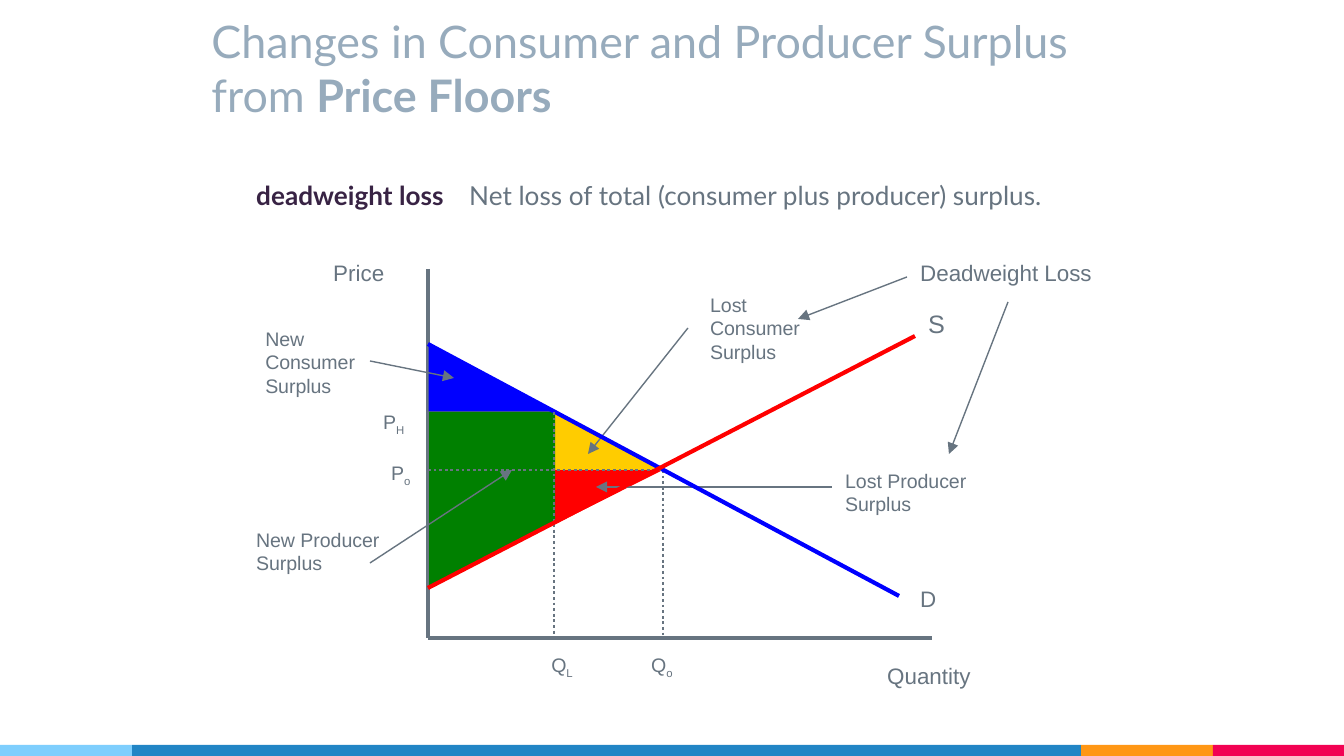
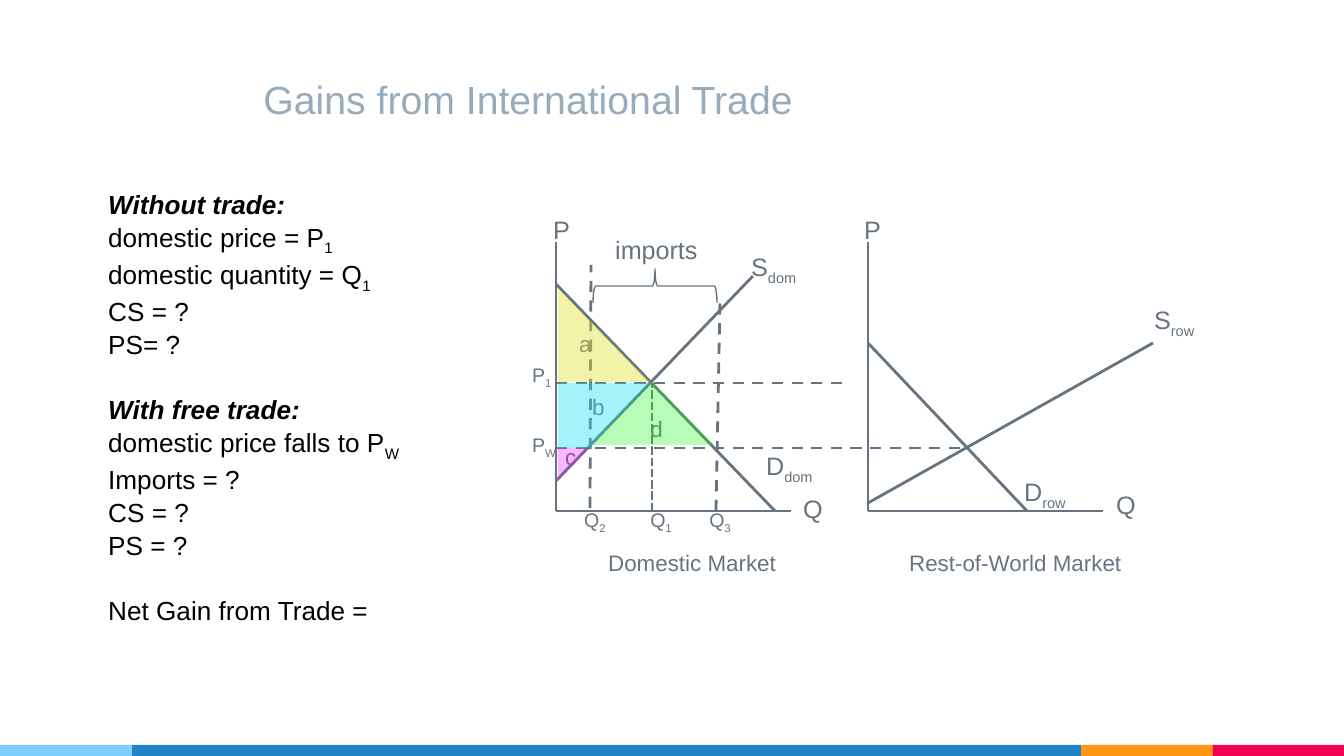
from dataclasses import dataclass
from typing import Any

from lxml.etree import SubElement
from pptx import Presentation
from pptx.dml.color import RGBColor
from pptx.enum.dml import MSO_LINE
from pptx.enum.shapes import MSO_CONNECTOR, MSO_SHAPE
from pptx.enum.text import MSO_ANCHOR, MSO_AUTO_SIZE, PP_ALIGN
from pptx.oxml.ns import qn
from pptx.util import Pt

SCALE = 914400 / 134.4
WIDE, HIGH = 1344, 756
GREY, PALE, PLUM, BLACK = "677480", "97ABBC", "382344", "000000"
BLUE, RED, GOLD, GREEN = "0000FF", "FF0000", "FFCC00", "008000"
DOT, DASH, SHORT = MSO_LINE.ROUND_DOT, MSO_LINE.DASH, MSO_LINE.SQUARE_DOT
BANDS = [(0, "7ECEFD"), (132, "2185C5"), (1081, "FF9715"), (1213, "F20253")]


def px(value):
    return round(value * SCALE)


def tint(target, value):
    target.rgb = RGBColor.from_string(value)


def say(para, text, size=12, color=GREY, font="Arial", bold=False, slant=False):
    for step, part in enumerate(text.split("_")):
        run = para.add_run()
        run.text = part
        run.font.size = Pt(size)
        run.font.name = font
        run.font.bold = bold
        run.font.italic = slant
        tint(run.font.color, color)
        if step:
            run._r.get_or_add_rPr().set("baseline", "-25000")


@dataclass
class Area:
    slide: Any
    left: int
    top: int

    def frame(self, x, y, wide, high, wrap=True):
        box = self.slide.shapes.add_textbox(
            px(self.left + x), px(self.top + y), px(wide), px(high))
        box.text_frame.word_wrap = wrap
        box.text_frame.auto_size = MSO_AUTO_SIZE.SHAPE_TO_FIT_TEXT
        return box.text_frame

    def label(self, text, x, y, wide, high=40, wrap=True, **style):
        say(self.frame(x, y, wide, high, wrap).paragraphs[0], text, **style)

    def line(self, start, end, color=GREY, width=1.5, dash=None, arrow=False):
        ends = [px(base + value) for point in (start, end)
                for base, value in zip((self.left, self.top), point)]
        link = self.slide.shapes.add_connector(MSO_CONNECTOR.STRAIGHT, *ends)
        tint(link.line.color, color)
        link.line.width = Pt(width)
        if dash:
            link.line.dash_style = dash
        props = link._element.spPr
        if arrow:
            SubElement(props.find(qn("a:ln")), qn("a:tailEnd"), type="triangle")
        SubElement(props, qn("a:effectLst"))

    def arrow(self, start, end):
        self.line(start, end, width=0.75, arrow=True)

    def patch(self, points, color, alpha=None, edge=None):
        spots = [(self.left + x, self.top + y) for x, y in points]
        pen = self.slide.shapes.build_freeform(*spots[0], scale=SCALE)
        pen.add_line_segments(spots[1:], close=True)
        self.paint(pen.convert_to_shape(), color, alpha, edge)

    def shape(self, kind, x, y, wide, high, color=None, edge=None):
        item = self.slide.shapes.add_shape(
            kind, px(self.left + x), px(self.top + y), px(wide), px(high))
        self.paint(item, color, edge=edge)
        return item

    def paint(self, item, color, alpha=None, edge=None):
        item.shadow.inherit = False
        if color:
            item.fill.solid()
            tint(item.fill.fore_color, color)
        else:
            item.fill.background()
        if alpha:
            mark = next(item._element.spPr.iter(qn("a:srgbClr")))
            SubElement(mark, qn("a:alpha"), val=str(alpha * 1000))
        if edge:
            tint(item.line.color, edge)
            item.line.width = Pt(0.75)
        else:
            item.line.fill.background()


def footer(slide, left, top, high):
    area = Area(slide, left, top)
    stops = [x for x, _ in BANDS[1:]] + [WIDE]
    for (x, color), stop in zip(BANDS, stops):
        area.shape(MSO_SHAPE.RECTANGLE, x, 0, stop - x, high, color)


def title(slide, left, top, wide, high, parts, **style):
    head = slide.shapes.title
    head.left, head.top, head.width, head.height = map(px, (left, top, wide, high))
    frame = head.text_frame
    frame.auto_size = MSO_AUTO_SIZE.NONE
    frame.word_wrap = True
    frame.vertical_anchor = MSO_ANCHOR.BOTTOM
    frame.margin_left = frame.margin_right = px(13.44)
    frame.margin_top = frame.margin_bottom = px(13.44)
    para = frame.paragraphs[0]
    para.alignment = PP_ALIGN.LEFT
    for text, bold in parts:
        say(para, text, color=PALE, bold=bold, **style)


def meaning(slide, left, top, wide, high, term, text):
    para = Area(slide, left, top).frame(0, 0, wide, high).paragraphs[0]
    stops = SubElement(para._p.get_or_add_pPr(), qn("a:tabLst"))
    SubElement(stops, qn("a:tab"), pos=str(px(213)), algn="l")
    say(para, term + "\t", size=14, color=PLUM, font="Lato", bold=True)
    say(para, text, size=14, font="Lato")


def surplus(slide, left, top, wide, high):
    area = Area(slide, left, top)
    low, even = 126, 235
    peak, held, fair, cut, base = 75, 143, 201, 254, 319
    area.patch([(0, base), (0, fair), (even, fair)], RED)
    area.patch([(0, peak), (0, fair), (even, fair)], GOLD)
    area.line((0, 0), (0, high), width=2.25)
    area.line((0, high), (wide, high), width=2.25)
    area.line((even, fair), (even, high), dash=DOT)
    area.line((low, held), (0, held), dash=DOT)
    area.patch([(0, peak), (0, held), (low, held)], BLUE, edge=GREY)
    area.patch([(1, held), (1, base), (low + 1, cut), (low + 1, held)], GREEN)

    for text, x, y, span in [
            ("Price", -108, -16, 126), ("Quantity", 446, 387, 185),
            ("D", 479, 310, 67), ("Deadweight Loss", 479, -16, 210)]:
        area.label(text, x, y, span)
    area.label("S", 487, 33, 51, 44, size=13.5)
    for text, x, y, span in [
            ("P_H", -58, 134, 51), ("P_o", -50, 185, 51),
            ("Q_L", 110, 377, 59), ("Q_o", 210, 377, 59)]:
        area.label(text, x, y, span, 38, size=10.5)
    for text, x, y, span, tall in [
            ("New Consumer Surplus", -176, 51, 159, 85),
            ("New Producer Surplus", -185, 252, 153, 61),
            ("Lost Consumer Surplus", 269, 17, 151, 85),
            ("Lost Producer Surplus", 404, 193, 218, 61)]:
        area.label(text, x, y, span, tall, size=10.5)

    for start, end in [
            ((-58, 92), (26, 109)), ((-58, 294), (84, fair)),
            ((260, 59), (160, 185)), ((404, 218), (168, 218)),
            ((479, 8), (370, 50)), ((580, 33), (521, 185))]:
        area.arrow(start, end)
    area.line((0, peak), (471, 327), BLUE, 2.25)
    area.line((0, fair), (even, fair), dash=DOT)
    area.line((low, held), (low, high), dash=DOT)
    area.line((0, base), (487, 67), RED, 2.25)


def market(slide, left, top, wide, high, name, tag, supply, demand, spots):
    area = Area(slide, left, top)
    area.line((0, 0), (0, high))
    area.line((wide, high), (0, high))
    area.line(*supply)
    area.line(*demand)
    texts = ["P", "Q", "S_" + tag, "D_" + tag]
    for text, (x, y, span) in zip(texts, spots):
        area.label(text, x, y, span, 44, wrap=False, size=13.5)
    x, span = spots[-1]
    area.label(name, x, high + 32, span, wrap=False)
    return area


def trade(slide, left, top, wide, high):
    area = market(
        slide, left, top, wide, high, "Domestic Market", "dom",
        ((197, 34), (0, 239)), ((0, 42), (219, high)),
        [(-16, -34, 44), (234, 245, 47), (182, 3, 77), (197, 202, 78), (39, 196)])
    market(
        slide, left + 312, top, wide, high, "Rest-of-World Market", "row",
        ((285, 101), (0, 261)), ((0, 101), (159, high)),
        [(-17, -34, 44), (235, 241, 47), (273, 56, 71), (143, 228, 73), (28, 242)])
    home, world = 141, 206
    area.line((0, home), (291, home), dash=DASH)
    area.line((0, world), (410, world), dash=DASH)
    area.line((160, high), (164, 59), dash=DASH)
    area.line((34, 266), (35, 23), dash=DASH)
    area.line((96, high), (96, 142), dash=SHORT)
    for text, x, y, span in [
            ("P_W", -37, 184, 52), ("P_1", -37, 114, 47),
            ("Q_2", 15, 259, 50), ("Q_1", 81, 259, 50), ("Q_3", 140, 259, 50)]:
        area.label(text, x, y, span, 38, wrap=False, size=10.5)
    for text, x, y in [("a", 10, 82), ("b", 23, 145), ("c", -4, 195), ("d", 81, 167)]:
        area.label(text, x, y, 39, wrap=False)
    area.label("imports", 46, -14, 110, 44, wrap=False, size=13.5)
    brace = area.shape(MSO_SHAPE.LEFT_BRACE, 82, -18, 34, 124, edge=GREY)
    brace.rotation = 90
    area.patch([(35, 203), (96, 140), (158, 203)], "16F616", 30)
    area.patch([(2, 46), (94, 140), (2, 140)], "DFE329", 40)
    area.patch([(2, home), (94, home), (33, world), (2, world)], "18DFF4", 39)
    area.patch([(2, world), (33, world), (2, 237)], "EB10FC", 30)


def notes(slide, left, top, wide, high, groups):
    frame = Area(slide, left, top).frame(0, 0, wide, high)
    para = None
    for head, rows in groups:
        for step, text in enumerate([head] + rows):
            first = para is None
            para = frame.paragraphs[0] if first else frame.add_paragraph()
            para.line_spacing = 1.05
            if not step and not first:
                para.space_before = Pt(17)
            loud = bool(rows) and not step
            say(para, text, size=14, color=BLACK, bold=loud, slant=loud)


deck = Presentation()
deck.slide_width, deck.slide_height = px(WIDE), px(HIGH)


def page():
    slide = deck.slides.add_slide(deck.slide_layouts[5])
    footer(slide, 0, 745, 11)
    return slide


floors = page()
title(floors, 198, 26, 939, 109,
      [("Changes in Consumer and Producer Surplus from ", False),
       ("Price Floors", True)], size=24, font="Lato")
surplus(floors, 428, 269, 504, 369)
meaning(floors, 243, 173, 867, 46, "deadweight loss",
        "Net loss of total (consumer plus producer) surplus.")

gains = page()
title(gains, 250, 9, 876, 127, [("Gains from International Trade", False)], size=21)
trade(gains, 556, 242, 235, 269)
notes(gains, 95, 180, 418, 425, [
    ("Without trade:", ["domestic price = P_1", "domestic quantity = Q_1",
                        "CS = ?", "PS= ?"]),
    ("With free trade:", ["domestic price falls to P_W", "Imports = ?",
                          "CS = ?", "PS = ?"]),
    ("Net Gain from Trade =", [])])

deck.save("out.pptx")
